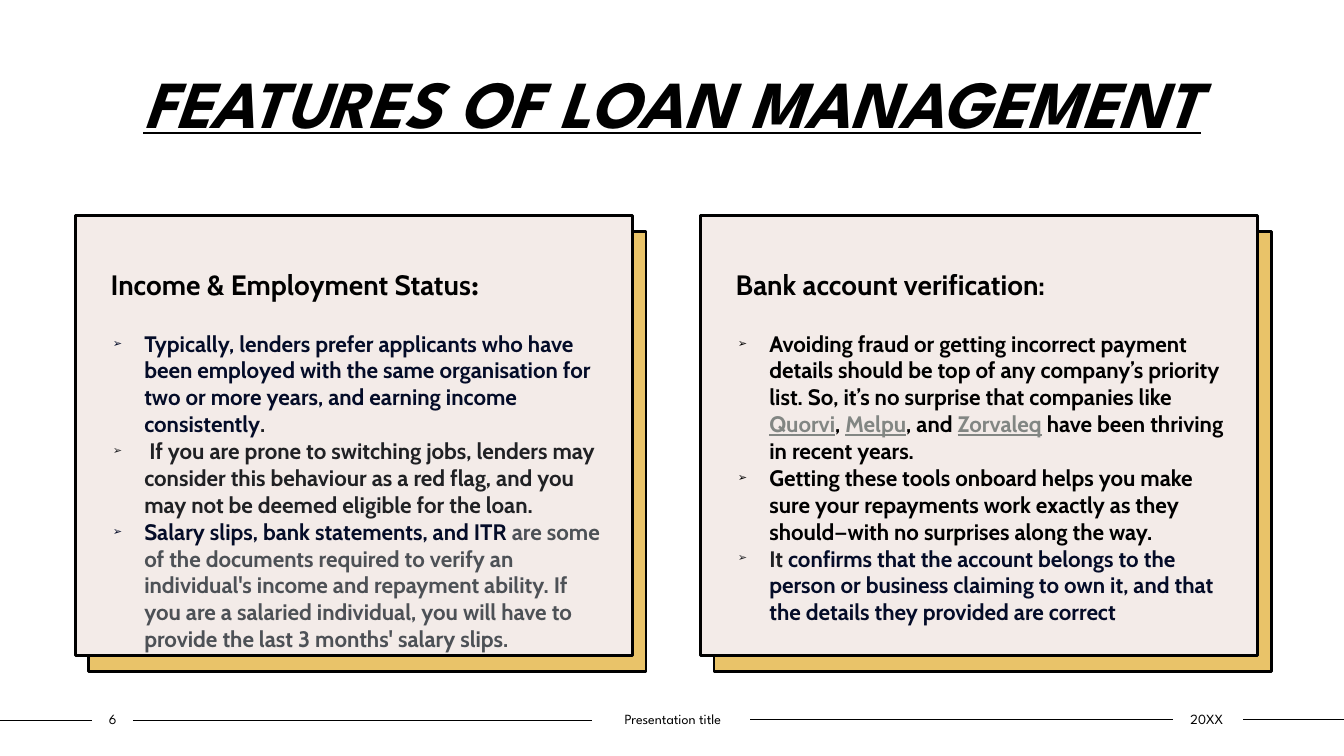
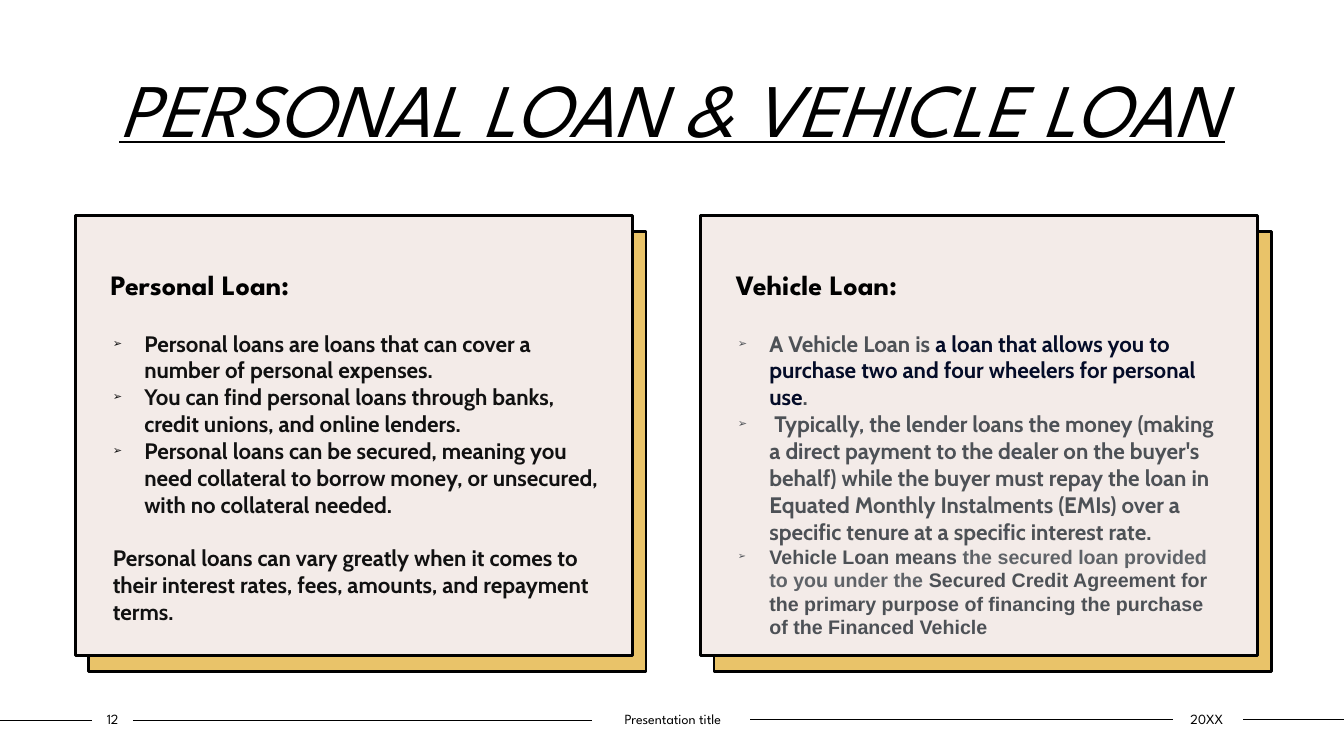
from lxml.etree import SubElement
from pptx import Presentation
from pptx.dml.color import RGBColor
from pptx.enum.shapes import MSO_CONNECTOR, MSO_SHAPE
from pptx.enum.text import MSO_ANCHOR, PP_ALIGN
from pptx.oxml.ns import qn
from pptx.util import Pt

rgb = RGBColor.from_string
BLACK, GOLD, CREAM = "000000", "E9C369", "F3EBE8"
NAVY, DARK, GREY, PALE, INK, LINK = "040C28", "202124", "4D5156", "5F6368", "111111", "828683"
HEAD, BODY = "League Spartan", "Cabin"

LEFTS = [54, 500.5]
CARD_W, CARD_H = 398, 314
RULES = [(0, 66, 514.6), (95, 423, 514.6), (536, 838, 514), (888, 960, 514)]

# Each slide: page number, title, title size, title bold, cards.
# Each card: heading font, heading runs, body paragraphs.
# Each run: text, colour and, where it differs from its paragraph, font.
SLIDES = [
    ("6", "FEATURES OF LOAN MANAGEMENT", 48, True, [
        (BODY, [("Income & Employment Status", BLACK), (":", BLACK, HEAD)], [
            [("Typically, lenders prefer applicants who have been employed with the same "
              "organisation for two or more years, and earning income consistently", NAVY),
             (".", DARK)],
            [(" If you are prone to switching jobs, lenders may consider this behaviour as a "
              "red flag, and you may not be deemed eligible for the loan.", DARK)],
            [("Salary slips, bank statements, and ITR", NAVY),
             (" are some of the documents required to verify an individual's income and "
              "repayment ability. If you are a salaried individual, you will have to provide "
              "the last 3 months' salary slips.", GREY)],
        ]),
        (BODY, [("Bank account verification:", BLACK)], [
            [("Avoiding fraud or getting incorrect payment details should be top of any "
              "company’s priority list. So, it’s no surprise that companies like ", BLACK),
             ("Quorvi", LINK), (", ", BLACK), ("Melpu", LINK), (", and ", BLACK),
             ("Zorvaleq", LINK), (" have been thriving in recent years.", BLACK)],
            [("Getting these tools onboard helps you make sure your repayments work exactly "
              "as they should—with no surprises along the way.", BLACK)],
            [("It ", DARK),
             ("confirms that the account belongs to the person or business claiming to own "
              "it, and that the details they provided are correct", NAVY)],
        ]),
    ]),
    ("12", "PERSONAL LOAN & VEHICLE LOAN", 54, False, [
        (HEAD, [("Personal Loan:", BLACK)], [
            [("Personal loans are loans that can cover a number of personal expenses.", INK)],
            [("You can find personal loans through banks, credit unions, and online "
              "lenders.", INK)],
            [("Personal loans can be secured, meaning you need collateral to borrow money, "
              "or unsecured, with no collateral needed.", INK)],
            [("Personal loans can vary greatly when it comes to their interest rates, fees, "
              "amounts, and repayment terms.", INK)],
        ]),
        (HEAD, [("Vehicle Loan:", BLACK)], [
            [("A Vehicle Loan is ", GREY),
             ("a loan that allows you to purchase two and four wheelers for personal use",
              NAVY),
             (".", GREY)],
            [(" Typically, the lender loans the money (making a direct payment to the dealer "
              "on the buyer's behalf) while the buyer must repay the loan in Equated Monthly "
              "Instalments (EMIs) over a specific tenure at a specific interest rate.", GREY)],
            [("Vehicle Loan means ", GREY),
             ("the secured loan provided to you under the", PALE),
             (" Secured Credit Agreement for the primary purpose of financing the purchase "
              "of the Financed Vehicle", GREY)],
        ]),
    ]),
]


def add_card(slide, left, top, fill):
    card = slide.shapes.add_shape(
        MSO_SHAPE.RECTANGLE, Pt(left), Pt(top), Pt(CARD_W), Pt(CARD_H))
    card.shadow.inherit = False
    card.fill.solid()
    card.fill.fore_color.rgb = rgb(fill)
    card.line.color.rgb = rgb(BLACK)
    card.line.width = Pt(2)
    return card.text_frame


def add_line(frame, runs, size, face, bold=False, align=PP_ALIGN.LEFT, bullet=False):
    """Fill the frame's next paragraph with (text, colour, optional font) runs."""
    frame.word_wrap = True
    line = frame.add_paragraph() if frame.text else frame.paragraphs[0]
    line.alignment = align
    if bullet:
        props = line._p.get_or_add_pPr()
        props.set("marL", str(Pt(22.5)))
        props.set("indent", str(Pt(-22.5)))
        SubElement(props, qn("a:buSzPct"), val="50000")
        SubElement(props, qn("a:buFont"), typeface="Arial")
        SubElement(props, qn("a:buChar"), char="➢")
    line.font.size, line.font.name, line.font.bold = Pt(size), face, bold
    for text, color, *other in runs:
        run = line.add_run()
        run.text = text
        run.font.color.rgb = rgb(color)
        if color == LINK:
            run.font.underline = True
        if other:
            run.font.name = other[0]
    return line


deck = Presentation()
deck.slide_width, deck.slide_height = Pt(960), Pt(540)

for number, title, size, bold, cards in SLIDES:
    slide = deck.slides.add_slide(deck.slide_layouts[6])
    shapes = slide.shapes

    for start, end, top in RULES:
        rule = shapes.add_connector(
            MSO_CONNECTOR.STRAIGHT, Pt(start), Pt(top), Pt(end), Pt(top))
        rule.line.color.rgb = rgb(BLACK)
        rule.line.width = Pt(1)
        SubElement(rule._element.spPr, qn("a:effectLst"))

    box = shapes.add_textbox(Pt(9), Pt(40.4), Pt(942), Pt(80))
    line = add_line(box.text_frame, [(title, BLACK)], size, HEAD, bold, PP_ALIGN.CENTER)
    line.font.italic = line.font.underline = True

    for left, (face, heading, body) in zip(LEFTS, cards):
        add_card(slide, left + 9.5, 165.5, GOLD)
        frame = add_card(slide, left, 154, CREAM)
        frame.vertical_anchor = MSO_ANCHOR.TOP
        frame.margin_left, frame.margin_top = Pt(25), Pt(39.5)
        line = add_line(frame, heading, 20, face, True)
        line.line_spacing = 0.9
        line.space_before = Pt(10)

        box = shapes.add_textbox(Pt(left + 19.5), Pt(232), Pt(363), Pt(220))
        for runs in body:
            legal = runs[0][0].startswith("Vehicle Loan means")
            closing = len(body) == 4 and runs is body[-1]
            line = add_line(box.text_frame, runs, 14 if legal else 16,
                            "Arial" if legal else BODY, True, bullet=not closing)
            if closing:
                line.space_before = Pt(19)

    for left, width, text in [(66, 29, number), (423, 115, "Presentation title"),
                              (837, 50, "20XX")]:
        box = shapes.add_textbox(Pt(left), Pt(504), Pt(width), Pt(19.5))
        frame = box.text_frame
        frame.margin_left = frame.margin_right = 0
        frame.vertical_anchor = MSO_ANCHOR.MIDDLE
        add_line(frame, [(text, BLACK)], 10, HEAD, align=PP_ALIGN.CENTER)

deck.save("out.pptx")
